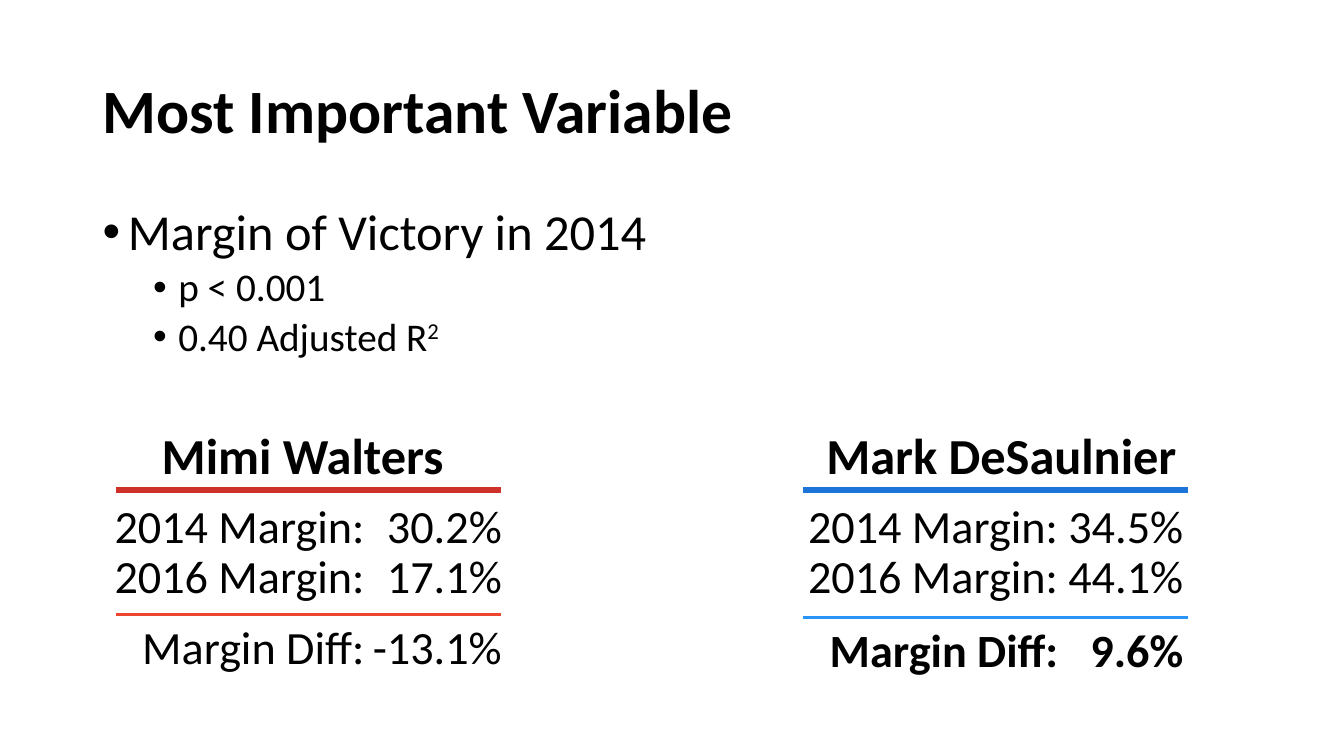
from lxml.etree import SubElement
from pptx import Presentation
from pptx.dml.color import RGBColor
from pptx.enum.shapes import MSO_CONNECTOR
from pptx.enum.text import MSO_ANCHOR, PP_ALIGN
from pptx.oxml.ns import qn
from pptx.util import Emu, Inches, Pt

COLOURS = {
    "text": "000000",
    "red": "CD3129", "light red": "EE452E",
    "blue": "1D74D8", "light blue": "2994F9",
}
FONT = "Calibri"
LEFT, WIDE, COLUMN = 6.9, 86.25, 31.25  # shares of the slide's width, in percent


class SlideBuilder:
    """Holds the style and the slide; places are in percent of the slide's size."""

    def __init__(self, deck):
        self.width, self.height = deck.slide_width, deck.slide_height
        self.slide = deck.slides.add_slide(deck.slide_layouts[5])

    def x(self, share):
        return Emu(round(self.width * share / 100))

    def y(self, share):
        return Emu(round(self.height * share / 100))

    def box(self, left, top, width, height, anchor=MSO_ANCHOR.MIDDLE):
        area = self.slide.shapes.add_textbox(
            self.x(left), self.y(top), self.x(width), self.y(height))
        area.text_frame.word_wrap = True
        area.text_frame.vertical_anchor = anchor
        return area.text_frame

    def format(self, paragraph, size, bold=False, align=PP_ALIGN.LEFT, before=0):
        paragraph.alignment = align
        paragraph.line_spacing = 0.9
        paragraph.space_before = Pt(before)
        for run in paragraph.runs:
            run.font.name, run.font.size, run.font.bold = FONT, Pt(size), bold
            run.font.color.rgb = RGBColor.from_string(COLOURS["text"])

    def title(self, text, left, top, width, height):
        heading = self.slide.shapes.title
        heading.left, heading.top = self.x(left), self.y(top)
        heading.width, heading.height = self.x(width), self.y(height)
        heading.text_frame.text = text
        heading.text_frame.vertical_anchor = MSO_ANCHOR.MIDDLE
        self.format(heading.text_frame.paragraphs[0], 44, bold=True)

    def bullets(self, items, left, top, width, height):
        frame = self.box(left, top, width, height, MSO_ANCHOR.TOP)
        for index, (level, text, superscript) in enumerate(items):
            paragraph = frame.paragraphs[0] if index == 0 else frame.add_paragraph()
            paragraph.text, paragraph.level = text, level
            if superscript:
                raised = paragraph.add_run()
                raised.text = superscript
                raised.font._element.set("baseline", "30000")
            self.format(paragraph, (36, 28)[level], before=(10, 5)[level])
            properties = paragraph._p.get_or_add_pPr()
            properties.set("marL", str(Inches(0.25 + 0.5 * level)))
            properties.set("indent", str(Inches(-0.25)))
            SubElement(properties, qn("a:buFont"), typeface="Arial")
            SubElement(properties, qn("a:buChar"), char="•")

    def name(self, text, left, top, width, height):
        frame = self.box(left, top, width, height)
        frame.text = text
        self.format(frame.paragraphs[0], 36, bold=True, align=PP_ALIGN.CENTER)

    def margins(self, rows, left, top, width, height, tabs, gap, bold_total):
        """Labels and values, each right-aligned at a tab stop; the last row is the total."""
        frame = self.box(left, top, width, height)
        for index, (label, value) in enumerate(rows):
            paragraph = frame.paragraphs[0] if index == 0 else frame.add_paragraph()
            paragraph.text = f"\t{label}\t{value}"
            total = index == len(rows) - 1
            self.format(paragraph, 33, bold=total and bold_total, before=gap if total else 0)
            stops = SubElement(paragraph._p.get_or_add_pPr(), qn("a:tabLst"))
            for stop in tabs:
                SubElement(stops, qn("a:tab"), pos=str(Inches(stop)), algn="r")

    def rule(self, left, right, top, colour, weight):
        line = self.slide.shapes.add_connector(
            MSO_CONNECTOR.STRAIGHT, self.x(left), self.y(top), self.x(right), self.y(top))
        line.line.color.rgb = RGBColor.from_string(COLOURS[colour])
        line.line.width = Pt(weight)
        SubElement(line._element.spPr, qn("a:effectLst"))


def main():
    deck = Presentation()
    deck.slide_width, deck.slide_height = Inches(13.33), Inches(7.5)
    builder = SlideBuilder(deck)

    # Heading and findings
    builder.title("Most Important Variable", LEFT, 5.33, WIDE, 19.33)
    findings = [
        (0, "Margin of Victory in 2014", ""),
        (1, "p < 0.001", ""),
        (1, "0.40 Adjusted R", "2"),
    ]
    builder.bullets(findings, LEFT, 26.67, WIDE, 21.73)

    # Candidates, side by side
    labels = ("2014 Margin:", "2016 Margin:", "Margin Diff:")
    candidates = [
        dict(name="Mimi Walters", values=("30.2%", "17.1%", "-13.1%"), colour="red",
             name_left=LEFT, left=LEFT, top=65.73, height=24.4, tabs=(2.6, 3.96),
             gap=15.4, bold_total=False, rule_left=8.63, total_rule=81.33),
        dict(name="Mark DeSaulnier", values=("34.5%", "44.1%", "9.6%"), colour="blue",
             name_left=58.89, left=57.6, top=64.53, height=27.2, tabs=(2.72, 3.96),
             gap=17.6, bold_total=True, rule_left=59.77, total_rule=81.73),
    ]
    for person in candidates:
        builder.name(person["name"], person["name_left"], 50.93, COLUMN, 19.33)
        builder.margins(zip(labels, person["values"]) and list(zip(labels, person["values"])),
                        person["left"], person["top"], COLUMN, person["height"],
                        person["tabs"], person["gap"], person["bold_total"])
        rule_right = person["rule_left"] + 28.63
        builder.rule(person["rule_left"], rule_right, 64.8, person["colour"], 4)
        builder.rule(person["rule_left"], rule_right, person["total_rule"],
                     "light " + person["colour"], 2)

    deck.save("out.pptx")


if __name__ == "__main__":
    main()
